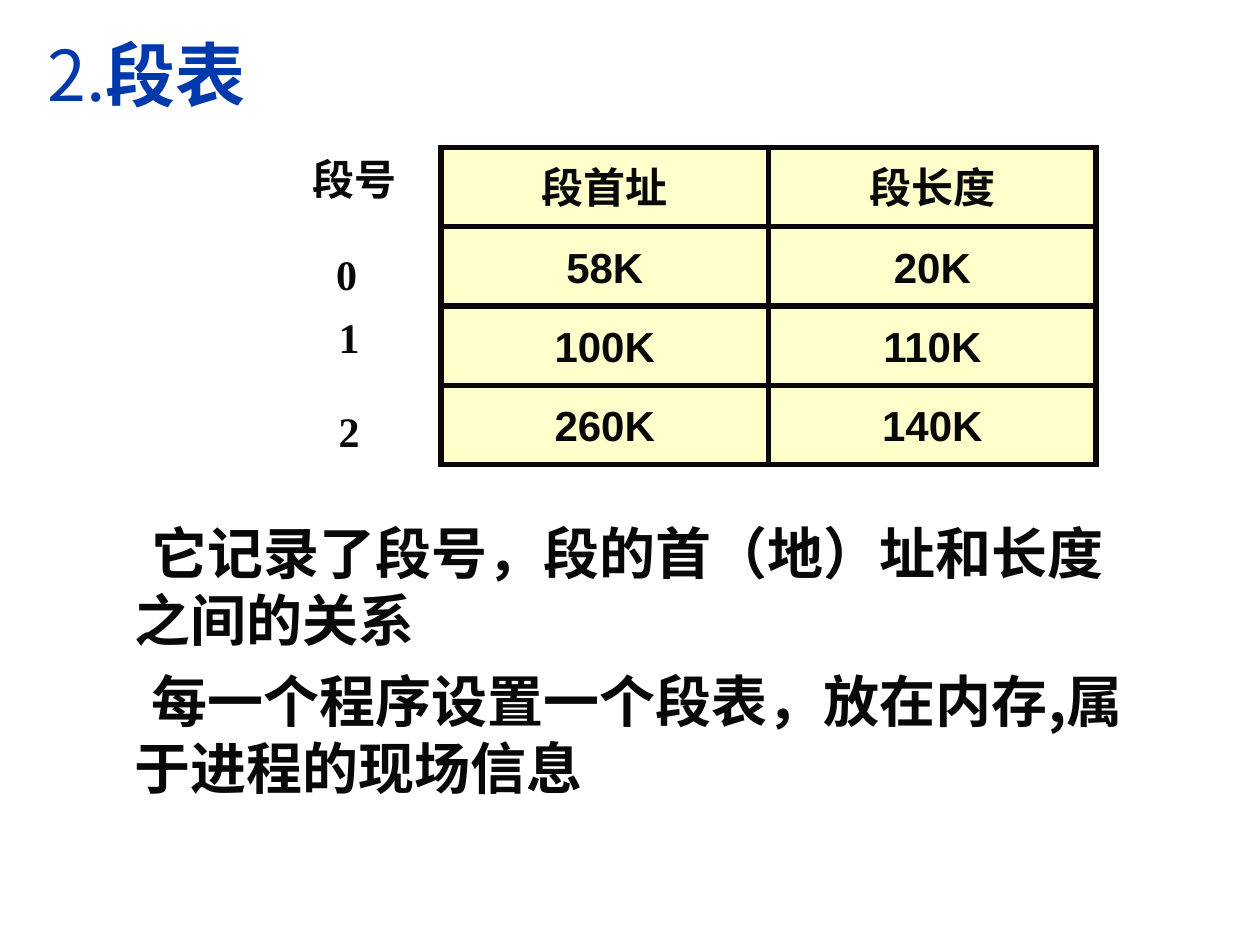
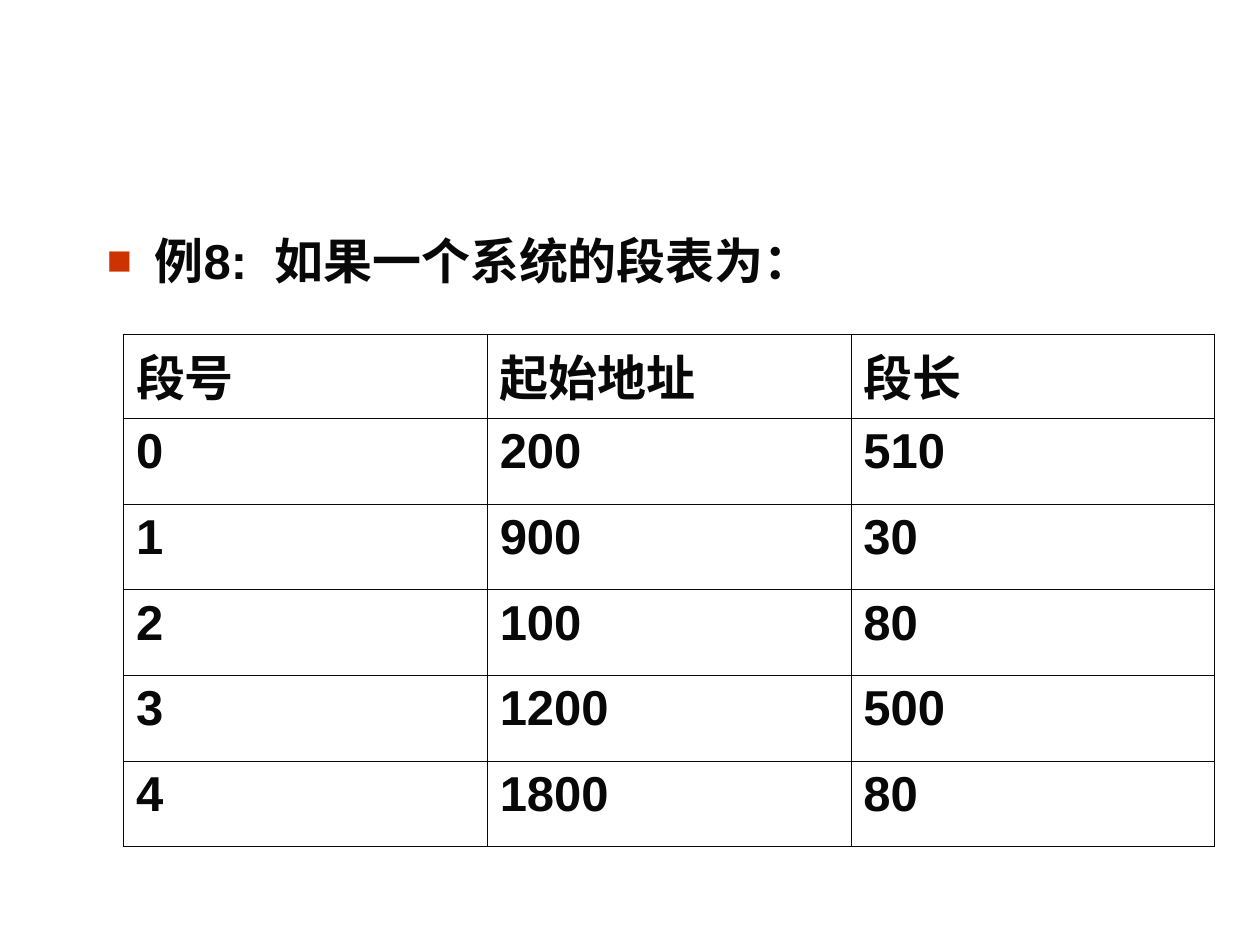
"""Build two slides on segment tables."""
from lxml import etree
from pptx import Presentation
from pptx import util as u
from pptx.dml.color import RGBColor
from pptx.enum import shapes, text
from pptx.oxml import ns

INK, BLUE, CREAM, RED = "080808", "0039AC", "FFFFCC", "CC3300"
HAN = "Noto Sans CJK SC"


def element(parent, tag, **attributes):
    return etree.SubElement(parent, ns.qn(tag), attributes)


def write(frame, content, size=24, font="Arial", colour=INK, bold=True, new=False,
          align=None, anchor=None, wrap=True, top=0.05, hang=None, indent=0,
          before=None, pitch=None, bullet=None, spread=None):
    frame.word_wrap = wrap
    frame.margin_top = u.Inches(top)
    if anchor is not None:
        frame.vertical_anchor = anchor
    para = frame.add_paragraph() if new else frame.paragraphs[-1]
    para.alignment = align
    if before:
        para.space_before = u.Pt(before)
    if pitch:
        para.line_spacing = u.Pt(pitch)
    if hang:
        format_ = para._p.get_or_add_pPr()
        format_.set("marL", str(u.Inches(hang)))
        format_.set("indent", str(u.Inches(indent)))
        if bullet:
            element(element(format_, "a:buClr"), "a:srgbClr", val=RED)
            element(format_, "a:buSzPct", val="85000")
            element(format_, "a:buFont", typeface="Arial")
            element(format_, "a:buChar", char=bullet)
    span = para.add_run()
    span.text = content
    span.font.size = u.Pt(size)
    span.font.name = font
    span.font.bold = bold
    span.font.color.rgb = RGBColor.from_string(colour)
    letters = span._r.get_or_add_rPr()
    element(letters, "a:ea", typeface=HAN)
    if spread:
        letters.set("spc", str(spread))


deck = Presentation()
deck.slide_width, deck.slide_height = u.Inches(10), u.Inches(7.5)
blank = deck.slide_layouts[6]

page = deck.slides.add_slide(blank)
title = page.shapes.add_textbox(u.Inches(0.28), u.Inches(0.29), u.Inches(8.5), u.Inches(0.58))
for content, bold in (("2.", False), ("段表", True)):
    write(title.text_frame, content, size=40, font=HAN, colour=BLUE, bold=bold,
          anchor=text.MSO_ANCHOR.MIDDLE)

body = page.shapes.add_textbox(u.Inches(0.59), u.Inches(4.06), u.Inches(8.48), u.Inches(3.08))
notes = ("它记录了段号，段的首（地）址和长度之间的关系",
         "每一个程序设置一个段表，放在内存,属于进程的现场信息")
for index, content in enumerate(notes):
    write(body.text_frame, content, size=32, font=HAN, new=index > 0, top=0.06,
          hang=0.38, indent=0.13, before=8 * index, pitch=38.3)

segment_table = page.shapes.add_group_shape()
labels = (("段号", 2.38, 1.17, 0.9), ("0", 2.57, 1.92, 0.36),
          ("1", 2.59, 2.42, 0.36), ("2", 2.59, 3.17, 0.36))
for content, left, y, width in labels:
    box = segment_table.shapes.add_textbox(u.Inches(left), u.Inches(y), u.Inches(width), u.Inches(0.5))
    write(box.text_frame, content, font="Times New Roman", wrap=False)

segments = (("段首址", "段长度"), ("58K", "20K"), ("100K", "110K"), ("260K", "140K"))
for row, values in enumerate(segments):
    for column, content in enumerate(values):
        box = segment_table.shapes.add_shape(
            shapes.MSO_SHAPE.RECTANGLE, u.Inches(3.5 + 2.6 * column),
            u.Inches(1.17 + 0.63 * row), u.Inches(2.6), u.Inches(0.63))
        box.shadow.inherit = False
        box.fill.solid()
        box.fill.fore_color.rgb = RGBColor.from_string(CREAM)
        box.line.color.rgb = RGBColor.from_string(INK)
        box.line.width = u.Pt(3)
        element(box.line._get_or_add_ln(), "a:miter", lim="800000")
        write(box.text_frame, content, align=text.PP_ALIGN.CENTER,
              anchor=text.MSO_ANCHOR.MIDDLE, wrap=False)

page = deck.slides.add_slide(blank)
body = page.shapes.add_textbox(u.Inches(0.75), u.Inches(1.78), u.Inches(6.85), u.Inches(4.92))
write(body.text_frame, "例8:", size=28, hang=0.38, indent=-0.38, bullet="■")
write(body.text_frame, " ", size=28, spread=780)
write(body.text_frame, "如果一个系统的段表为：", size=28)

example = (("段号", "起始地址", "段长"), ("0", "200", "510"), ("1", "900", "30"),
           ("2", "100", "80"), ("3", "1200", "500"), ("4", "1800", "80"))
last_row = len(example) - 1
table = page.shapes.add_table(len(example), len(example[0]), u.Inches(0.98), u.Inches(2.65),
                              u.Inches(8.66), u.Inches(4.08)).table
for column in table.columns:
    column.width = u.Inches(8.66 / 3)
for row, values in enumerate(example):
    table.rows[row].height = u.Inches(0.68 if row else 0.67)
    for column, content in enumerate(values):
        cell = table.cell(row, column)
        write(cell.text_frame, content, size=28)
        cell.margin_top = cell.margin_bottom = u.Inches(0.05)
        edges = {"a:lnL": column == 0, "a:lnR": False, "a:lnT": False, "a:lnB": row == last_row}
        for tag, thick in edges.items():
            line = element(cell._tc.get_or_add_tcPr(), tag, w=str(u.Pt(1.08 if thick else 0.45)))
            element(element(line, "a:solidFill"), "a:srgbClr", val=INK)
        cell.fill.background()

deck.save("out.pptx")
